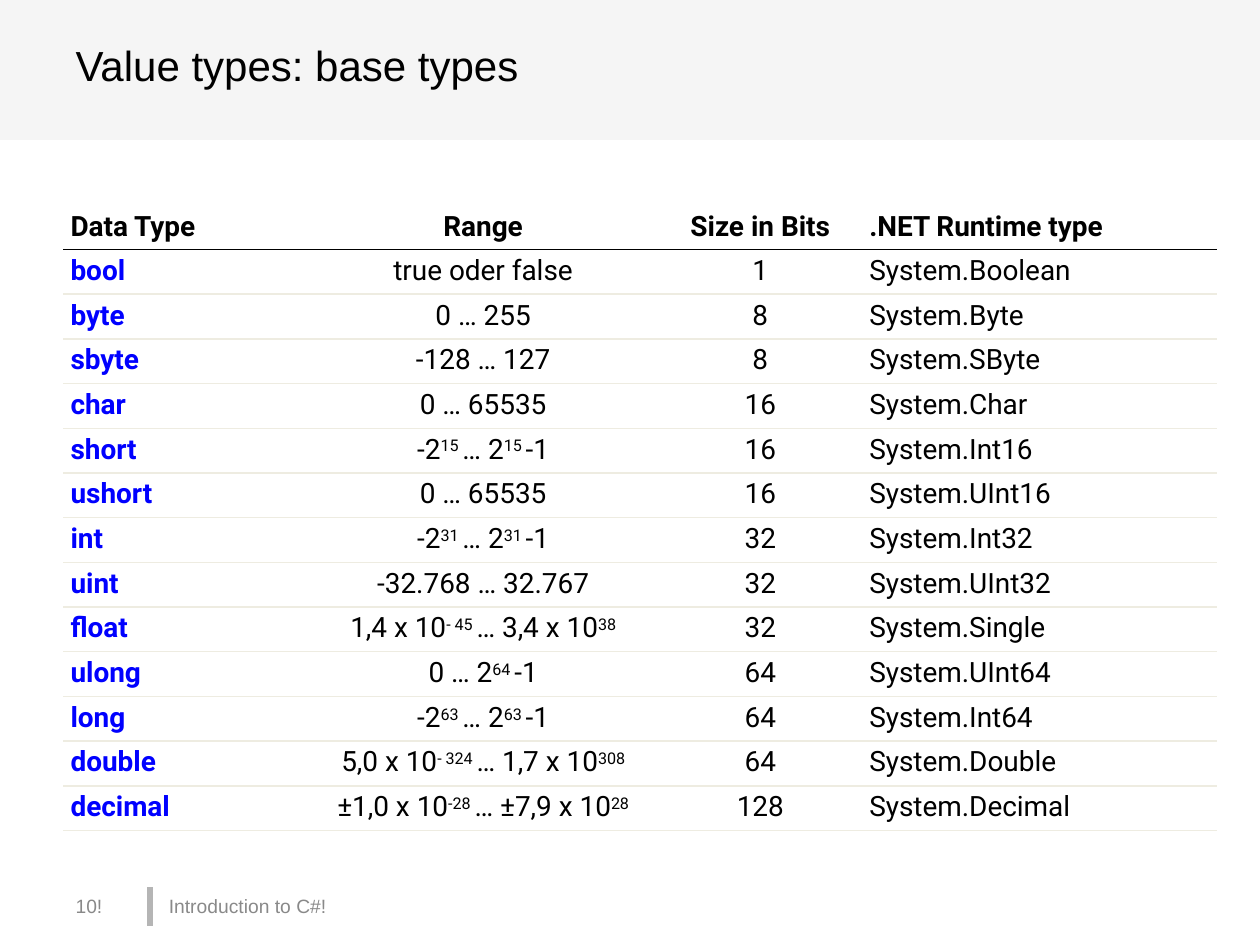
from dataclasses import dataclass

from lxml.etree import SubElement
from pptx import Presentation
from pptx.dml.color import RGBColor as Rgb
from pptx.enum.shapes import MSO_CONNECTOR as Connector, MSO_SHAPE as Shape
from pptx.enum.text import MSO_ANCHOR as Anchor, MSO_AUTO_SIZE as AutoSize, PP_ALIGN as Align
from pptx.oxml.ns import qn
from pptx.util import Inches, Pt


@dataclass(frozen=True)
class Theme:
    ink: str = "000000"
    keyword: str = "0000FF"
    banner: str = "F5F5F5"
    bar: str = "B5B5B5"
    muted: str = "898989"
    rule: str = "EEECE1"
    heading_font: str = "Arial"
    table_font: str = "Roboto"
    title_size: float = 24
    table_size: float = 16
    power_size: float = 15.8
    footer_size: float = 11


THEME = Theme()
WIDTH, HEIGHT = 10, 7.5
BANNER_BOX = (0, 0, WIDTH, 1.11)
TABLE_BOX = (0.5, 1.67, 9.16, 4.99)
FOOTER_BOX = (0.57, 7.04, 2.04, 0.31)

COLUMN_WIDTHS = (1.57, 3.22, 1.47, 2.9)
COLUMN_INDENTS = (0.06, 0.31, 0.02, 0.14)
COLUMN_ALIGNS = (Align.LEFT, Align.CENTER, Align.CENTER, Align.LEFT)
HEADER_HEIGHT = 0.31
PLAIN_TABLE_STYLE = "{2D5ABB26-0587-4C30-8999-92F81FD0307C}"

HEADER = ("Data Type", "Range", "Size in Bits", ".NET Runtime type")
# In a range, every second part between bars is a power.
BASE_TYPES = (
    ("bool", "true oder false", "1", "System.Boolean"),
    ("byte", "0 … 255", "8", "System.Byte"),
    ("sbyte", "-128 … 127", "8", "System.SByte"),
    ("char", "0 … 65535", "16", "System.Char"),
    ("short", "-2|15 |… 2|15 |-1", "16", "System.Int16"),
    ("ushort", "0 … 65535", "16", "System.UInt16"),
    ("int", "-2|31 |… 2|31 |-1", "32", "System.Int32"),
    ("uint", "-32.768 … 32.767", "32", "System.UInt32"),
    ("float", "1,4 x 10|- 45 |… 3,4 x 10|38", "32", "System.Single"),
    ("ulong", "0 … 2|64 |-1", "64", "System.UInt64"),
    ("long", "-2|63 |… 2|63 |-1", "64", "System.Int64"),
    ("double", "5,0 x 10|- 324 |… 1,7 x 10|308", "64", "System.Double"),
    ("decimal", "±1,0 x 10|-28 |… ±7,9 x 10|28", "128", "System.Decimal"),
)


def apply(target, **values):
    for name, value in values.items():
        setattr(target, name, value)


def place(shape, left, top, width, height):
    apply(shape, left=Inches(left), top=Inches(top), width=Inches(width), height=Inches(height))


def clear_margins(holder, top=0):
    apply(holder, margin_left=0, margin_right=0, margin_top=Inches(top), margin_bottom=0)


def add_span(para, text, font, size, color, bold=False):
    span = para.add_run()
    span.text = text
    apply(span.font, name=font, size=Pt(size), bold=bold)
    span.font.color.rgb = Rgb.from_string(color)
    return span


def format_para(para, indent, **values):
    para._p.get_or_add_pPr().set("marL", str(Inches(indent)))
    apply(para, **values)


def add_banner(page, box, title):
    left, top, width, height = box
    banner = page.shapes.add_shape(Shape.RECTANGLE, *map(Inches, box))
    banner.shadow.inherit = False
    banner.fill.solid()
    banner.fill.fore_color.rgb = banner.line.color.rgb = Rgb.from_string(THEME.banner)
    banner.line.width = Pt(0.75)

    heading = page.shapes.title
    place(heading, left + 0.59, top + 0.31, width - 2 * 0.59, height - 0.31)
    page.shapes._spTree.append(heading._element)
    frame = heading.text_frame
    clear_margins(frame)
    apply(frame, word_wrap=True, vertical_anchor=Anchor.TOP, auto_size=AutoSize.NONE)
    para = frame.paragraphs[0]
    format_para(para, 0.01, alignment=Align.LEFT, line_spacing=1.0, space_before=Pt(0))
    add_span(para, title, THEME.heading_font, THEME.title_size, THEME.ink)


def set_borders(cell, **colors):
    """Draw the sides named in colors (L, R, T, B) and hide the others."""
    props = cell._tc.get_or_add_tcPr()
    for side in "LRTB":
        color = colors.get(side)
        line = SubElement(props, qn(f"a:ln{side}"), w=str(Pt(1) if color else 0))
        if color:
            fill = SubElement(line, qn("a:solidFill"))
            SubElement(fill, qn("a:srgbClr"), val=color)
        else:
            SubElement(line, qn("a:noFill"))


def fill_cell(cell, text, row, column):
    is_header = row == 0
    clear_margins(cell, top=0 if is_header else 0.04)
    cell.vertical_anchor = Anchor.TOP
    if is_header:
        set_borders(cell, B=THEME.ink)
    else:
        set_borders(cell, T=THEME.ink if row == 1 else THEME.rule, B=THEME.rule)
    cell.fill.background()

    para = cell.text_frame.paragraphs[0]
    format_para(para, COLUMN_INDENTS[column], alignment=COLUMN_ALIGNS[column])
    if is_header:
        para.line_spacing = Pt(18.8)
    else:
        para.space_before = Pt(2.7)
    is_keyword = column == 0 and not is_header
    color = THEME.keyword if is_keyword else THEME.ink
    for index, part in enumerate(text.split("|")):
        is_power = index % 2 == 1
        size = THEME.power_size if is_power else THEME.table_size
        span = add_span(para, part, THEME.table_font, size, color, is_header or is_keyword)
        if is_power:
            span.font._element.set("baseline", "26000")


def add_type_table(page, box, rows):
    frame = page.shapes.add_table(len(rows), len(COLUMN_WIDTHS), *map(Inches, box))
    table = frame.table
    apply(table, first_row=False, horz_banding=False)
    table._tbl.tblPr.find(qn("a:tableStyleId")).text = PLAIN_TABLE_STYLE
    for column, width in zip(table.columns, COLUMN_WIDTHS):
        column.width = Inches(width)
    body_height = (box[3] - HEADER_HEIGHT) / (len(rows) - 1)
    body_height = round(body_height - 0.005, 3)
    for row, texts in enumerate(rows):
        table.rows[row].height = Inches(body_height if row else HEADER_HEIGHT)
        for column, text in enumerate(texts):
            fill_cell(table.cell(row, column), text, row, column)


def add_footer(page, box, number, caption):
    left, top, width, height = box
    bar_x = left + 0.62
    bar = page.shapes.add_connector(
        Connector.STRAIGHT, *map(Inches, (bar_x, top, bar_x, top + height)))
    bar.line.width = Pt(3)
    bar.line.color.rgb = Rgb.from_string(THEME.bar)
    SubElement(bar._element.spPr, qn("a:effectLst"))

    for text, offset, span_width, indent in (
            (number, 0, 0.4, 0.03), (caption, 0.76, width - 0.76, 0.01)):
        label = page.shapes.add_textbox(
            *map(Inches, (left + offset, top + 0.08, span_width, 0.18)))
        frame = label.text_frame
        frame.word_wrap = True
        clear_margins(frame)
        para = frame.paragraphs[0]
        format_para(para, indent, line_spacing=Pt(11.7))
        add_span(para, text, THEME.heading_font, THEME.footer_size, THEME.muted)


def main():
    deck = Presentation()
    apply(deck, slide_width=Inches(WIDTH), slide_height=Inches(HEIGHT))
    page = deck.slides.add_slide(deck.slide_layouts[5])
    add_banner(page, BANNER_BOX, "Value types: base types")
    add_type_table(page, TABLE_BOX, (HEADER, *BASE_TYPES))
    add_footer(page, FOOTER_BOX, "10!", "Introduction to C#!")
    deck.save("out.pptx")


if __name__ == "__main__":
    main()
